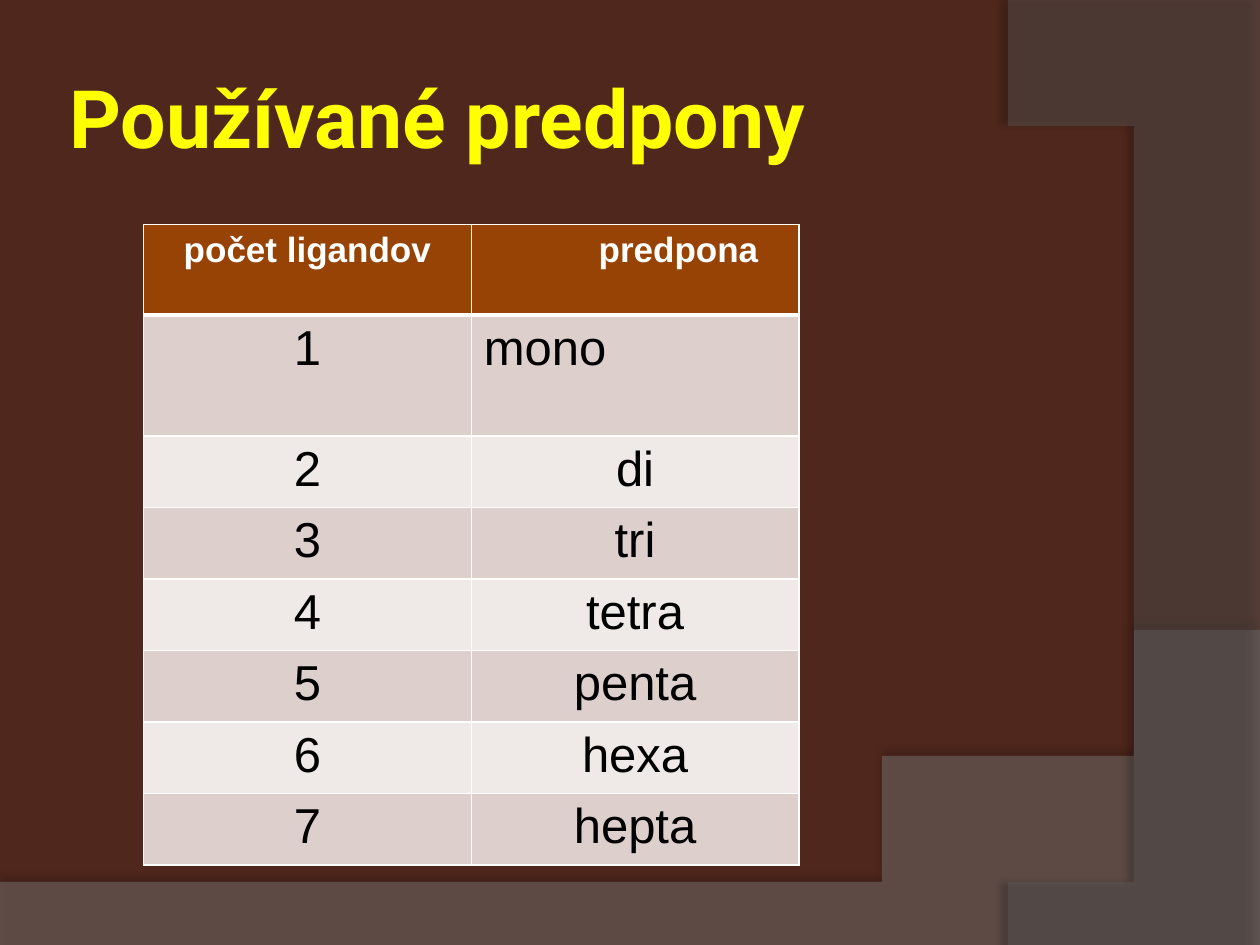
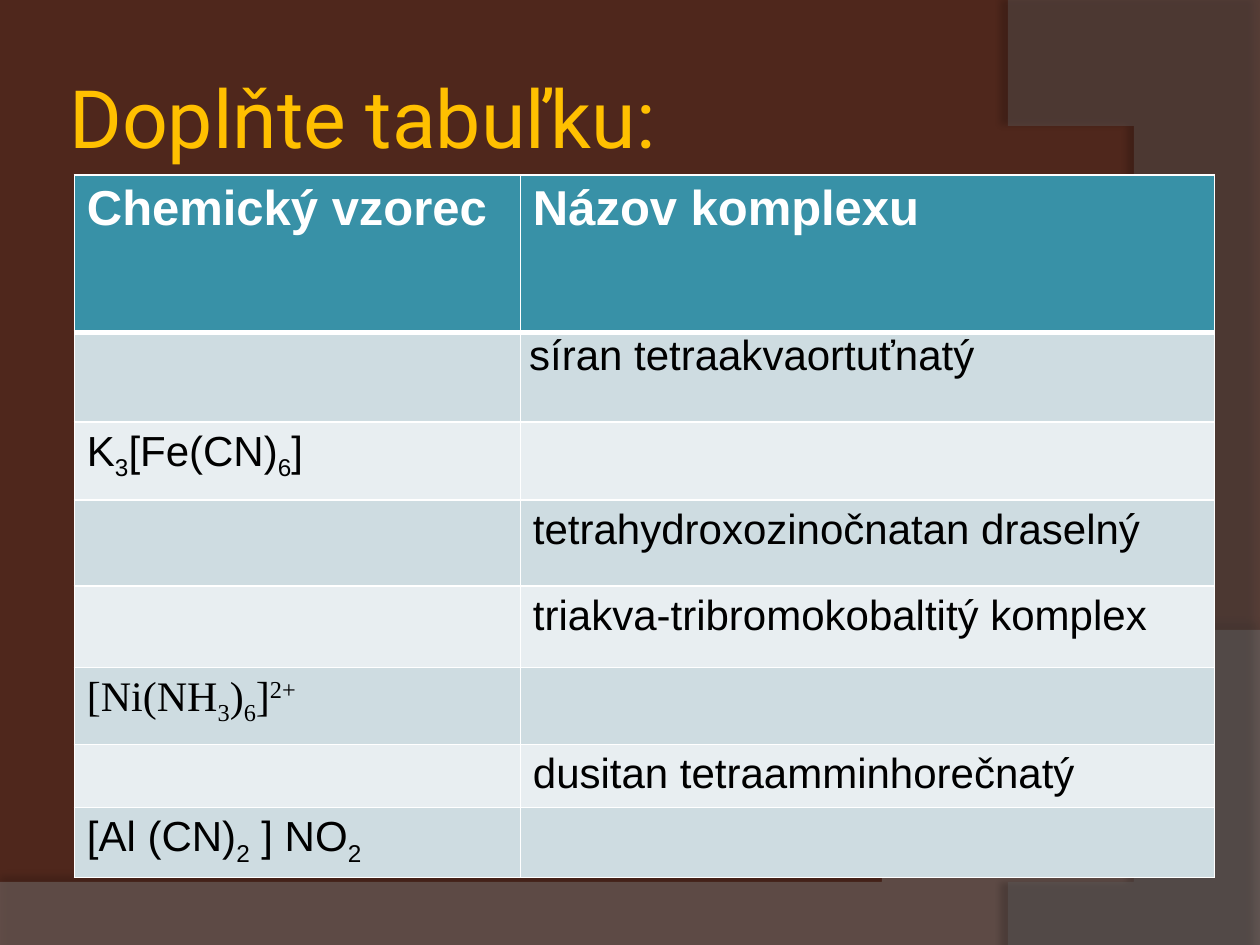
from lxml import etree
from pptx import Presentation
from pptx.dml.color import RGBColor
from pptx.enum.text import MSO_ANCHOR, PP_ALIGN
from pptx.oxml import parse_xml
from pptx.oxml.ns import nsdecls, qn
from pptx.util import Inches, Pt

LEFT, CENTER = PP_ALIGN.LEFT, PP_ALIGN.CENTER
MIDDLE = MSO_ANCHOR.MIDDLE

BROWN = RGBColor(0x4F, 0x27, 0x1C)
GREY = RGBColor(0x7F, 0x7F, 0x7F)
DARK_GREY = RGBColor(0x5E, 0x5E, 0x5E)
WHITE = RGBColor(0xFF, 0xFF, 0xFF)
BLACK = RGBColor(0, 0, 0)
YELLOW = RGBColor(0xFF, 0xFF, 0)
AMBER = RGBColor(0xFF, 0xC0, 0)
RUST = RGBColor(0x96, 0x43, 0x05)
ROSE = RGBColor(0xDD, 0xCF, 0xCC)
PALE_ROSE = RGBColor(0xEF, 0xE9, 0xE7)
TEAL = RGBColor(0x38, 0x91, 0xA7)
MIST = RGBColor(0xCE, 0xDC, 0xE1)
PALE_MIST = RGBColor(0xE8, 0xEE, 0xF1)

SUB, SUP = -25, 30

# Each swoosh: corner points, the curve's four control points, fill and shadow
SWOOSHES = [
    dict(corners=[(0, 7.05), (0, 7.51), (10, 7.51)],
         curve=[(10, 5.2), (5.59, 7.29), (3.91, 7.19), (0, 7.05)],
         color=GREY, opacity=45, shadow_opacity=35, distance=3.5, angle=270),
    dict(corners=[(10, 0.02), (10, 7.5)],
         curve=[(8.21, 7.5), (9.35, 6.19), (10.18, 3), (8, 0)],
         color=DARK_GREY, opacity=40, shadow_opacity=45, distance=4, angle=180),
]
CURVE_STEPS = 60

prs = Presentation()
prs.slide_width, prs.slide_height = Inches(10), Inches(7.5)


def add_themed_slide(title, color, bold):
    s = prs.slides.add_slide(prs.slide_layouts[6])
    s.background.fill.solid()
    s.background.fill.fore_color.rgb = BROWN

    for swoosh in SWOOSHES:
        points = list(swoosh["corners"])
        for i in range(CURVE_STEPS + 1):
            t = i / CURVE_STEPS
            weights = ((1 - t) ** 3, 3 * t * (1 - t) ** 2, 3 * t * t * (1 - t), t ** 3)
            points.append(tuple(sum(w * c[axis] for w, c in zip(weights, swoosh["curve"]))
                                for axis in (0, 1)))
        builder = s.shapes.build_freeform(*points[0], scale=Inches(1))
        builder.add_line_segments(points[1:], close=True)
        sp = builder.convert_to_shape()
        sp.line.fill.background()
        sp.fill.solid()
        sp.fill.fore_color.rgb = swoosh["color"]
        srgb = sp._element.spPr.find(".//" + qn("a:srgbClr"))
        etree.SubElement(srgb, qn("a:alpha"), val=str(swoosh["opacity"] * 1000))
        sp._element.spPr.append(parse_xml(
            f'<a:effectLst {nsdecls("a")}><a:outerShdw blurRad="{Pt(4)}" '
            f'dist="{Pt(swoosh["distance"])}" dir="{swoosh["angle"] * 60000}" '
            f'algn="ctr" rotWithShape="0"><a:srgbClr val="{BLACK}">'
            f'<a:alpha val="{swoosh["shadow_opacity"] * 1000}"/></a:srgbClr>'
            f'</a:outerShdw></a:effectLst>'))

    tf = s.shapes.add_textbox(Inches(0.5), Inches(0.3), Inches(8.17), Inches(1.25)).text_frame
    tf.word_wrap = True
    tf.vertical_anchor = MIDDLE
    tf.margin_left = tf.margin_right = tf.margin_top = tf.margin_bottom = Inches(0.05)
    r = tf.paragraphs[0].add_run()
    r.text = title
    r.font.name, r.font.size, r.font.bold = "Roboto", Pt(46), bold
    r.font.color.rgb = color
    return s


def add_grid(s, left, top, widths, heights, rows, fills, sizes, align):
    """Add a table; a cell is a string or a list of (text, baseline) runs.

    fills holds the header, odd and even row colours, sizes the header and body sizes.
    """
    table = s.shapes.add_table(len(rows), len(widths), Inches(left), Inches(top),
                               Inches(sum(widths)), Inches(sum(heights))).table
    for column, width in zip(table.columns, widths):
        column.width = Inches(width)
    for i, (row, height) in enumerate(zip(rows, heights)):
        header = i == 0
        table.rows[i].height = Inches(height)
        for j, content in enumerate(row):
            cell = table.cell(i, j)
            tcPr = cell._tc.get_or_add_tcPr()
            for side in "LRTB":
                width = 3 if (header and side == "B") or (i == 1 and side == "T") else 1
                tcPr.append(parse_xml(
                    f'<a:ln{side} {nsdecls("a")} w="{Pt(width)}"><a:solidFill>'
                    f'<a:srgbClr val="{WHITE}"/></a:solidFill></a:ln{side}>'))
            cell.fill.solid()
            cell.fill.fore_color.rgb = fills[0] if header else fills[1 + (i - 1) % 2]
            p = cell.text_frame.paragraphs[0]
            p.alignment = align
            runs = [(content, 0)] if isinstance(content, str) else content
            for text, baseline in runs:
                if not text:
                    continue
                r = p.add_run()
                r.text = text
                r.font.name, r.font.bold = "Arial", header
                r.font.size = Pt(sizes[0] if header else sizes[1])
                r.font.color.rgb = WHITE if header else BLACK
                if baseline:
                    r._r.get_or_add_rPr().set("baseline", str(baseline * 1000))
    return table


# Slide 1: prefixes
s = add_themed_slide("Používané predpony", YELLOW, True)
prefixes = ["mono", "di", "tri", "tetra", "penta", "hexa", "hepta"]
rows = [("počet ligandov", "predpona")]
rows += [(str(n), prefix) for n, prefix in enumerate(prefixes, 1)]
table = add_grid(s, 1.14, 1.78, [2.6, 2.6], [0.72, 0.96] + [0.53] * 6, rows,
                 (RUST, ROSE, PALE_ROSE), (20, 28), CENTER)
table.cell(0, 1).margin_left = Inches(0.79)
table.cell(1, 1).text_frame.paragraphs[0].alignment = LEFT

# Slide 2: exercise
s = add_themed_slide("Doplňte tabuľku:", AMBER, False)
ferricyanide = [("K", 0), ("3", SUB), ("[Fe(CN)", 0), ("6", SUB), ("]", 0)]
nickel_ion = [("[Ni(NH", 0), ("3", SUB), (")", 0), ("6", SUB), ("]", 0), ("2+", SUP)]
aluminium_nitrite = [("[Al (CN)", 0), ("2", SUB), (" ] NO", 0), ("2", SUB)]
rows = [
    ("Chemický vzorec", "Názov komplexu"),
    ("", "síran tetraakvaortuťnatý"),
    (ferricyanide, ""),
    ("", "tetrahydroxozinočnatan draselný"),
    ("", "triakva-tribromokobaltitý komplex"),
    (nickel_ion, ""),
    ("", "dusitan tetraamminhorečnatý"),
    (aluminium_nitrite, ""),
]
table = add_grid(s, 0.59, 1.39, [3.54, 5.51], [1.25, 0.71, 0.62, 0.68, 0.65, 0.61, 0.49, 0.53],
                 rows, (TEAL, MIST, PALE_MIST), (28, 24), LEFT)
sulfate = table.cell(1, 1)
sulfate.margin_left = sulfate.margin_right = Inches(0.07)
sulfate.margin_top = sulfate.margin_bottom = 0
for r in table.cell(5, 0).text_frame.paragraphs[0].runs:
    r.font.name = "Times New Roman"

prs.save("out.pptx")
